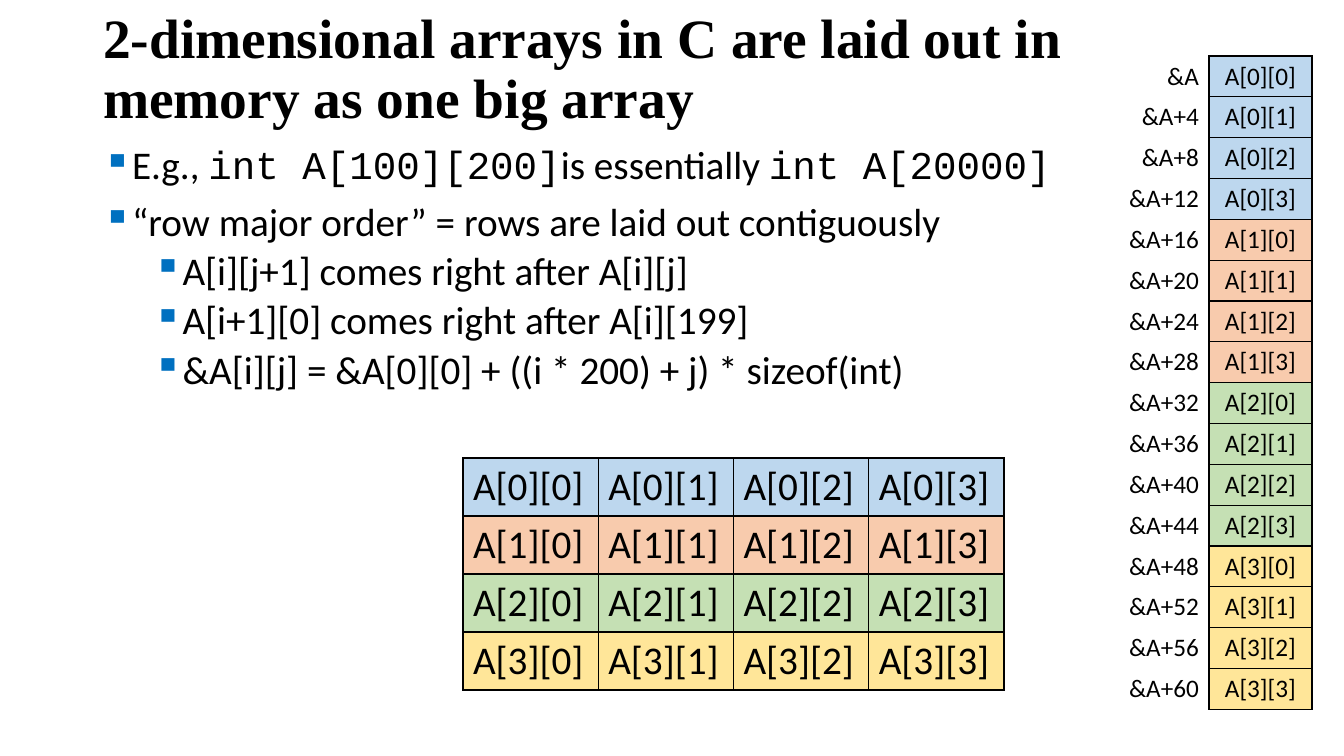
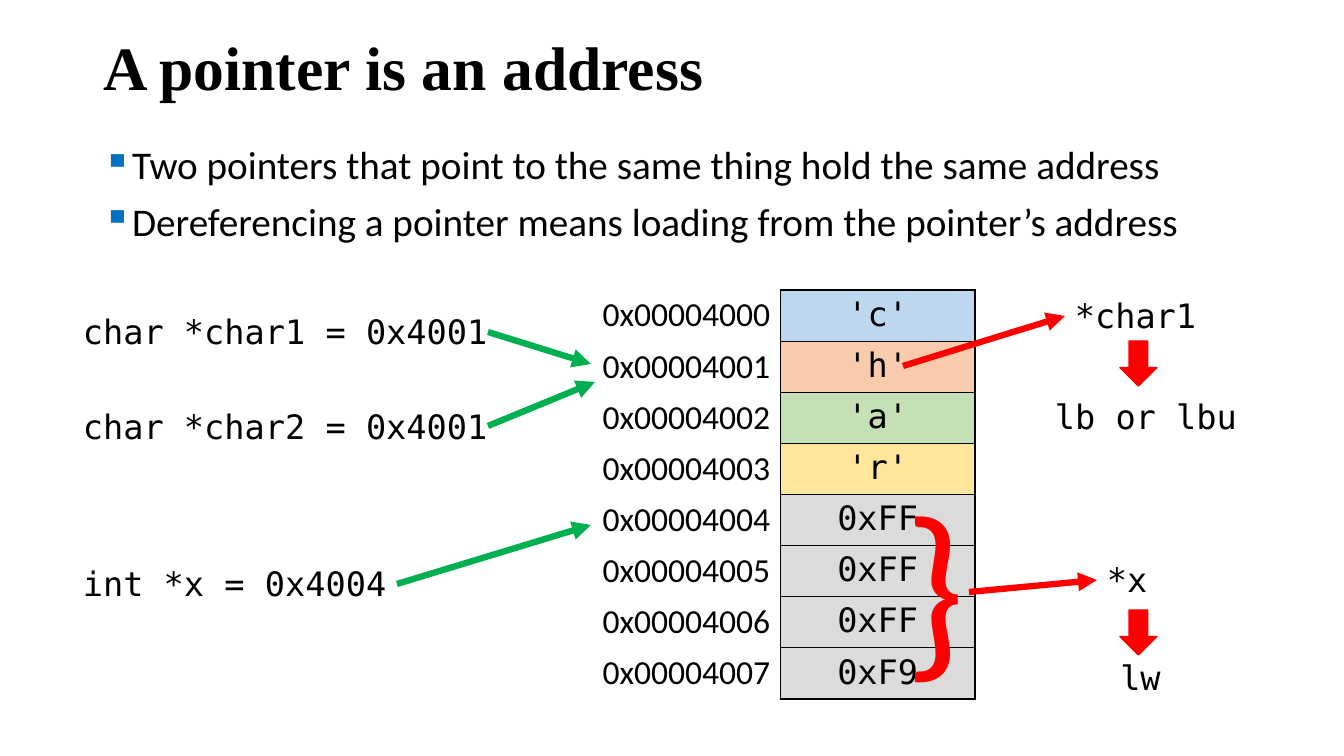
from lxml import etree
from pptx import Presentation
from pptx.dml.color import RGBColor
from pptx.enum.shapes import MSO_CONNECTOR, MSO_SHAPE
from pptx.enum.text import MSO_ANCHOR, MSO_AUTO_SIZE, PP_ALIGN
from pptx.oxml.ns import qn
from pptx.util import Pt

LEFT, CENTER, RIGHT = PP_ALIGN.LEFT, PP_ALIGN.CENTER, PP_ALIGN.RIGHT
TOP, MIDDLE = MSO_ANCHOR.TOP, MSO_ANCHOR.MIDDLE
STRAIGHT, DOWN_ARROW = MSO_CONNECTOR.STRAIGHT, MSO_SHAPE.DOWN_ARROW
NO_AUTOFIT = MSO_AUTO_SIZE.NONE

BLACK = RGBColor(0x00, 0x00, 0x00)
BLUE = RGBColor(0xBD, 0xD7, 0xEE)
ORANGE = RGBColor(0xF8, 0xCB, 0xAD)
LIGHT_GREEN = RGBColor(0xC5, 0xE0, 0xB4)
YELLOW = RGBColor(0xFF, 0xE6, 0x99)
GRAY = RGBColor(0xDB, 0xDB, 0xDB)
BULLET_BLUE = RGBColor(0x00, 0x70, 0xC0)
GREEN = RGBColor(0x00, 0xB0, 0x50)
RED = RGBColor(0xFF, 0x00, 0x00)
BANDS = [BLUE, ORANGE, LIGHT_GREEN, YELLOW]

TITLE_FONT, BODY_FONT = "Times New Roman", "Calibri"
CODE_FONT, MONO_FONT = "Courier New", "DejaVu Sans Mono"
BODY_FORMAT = {"name": BODY_FONT, "size": Pt(28)}
CODE_FORMAT = {"name": CODE_FONT, "size": Pt(28)}
MONO_FORMAT = {"name": MONO_FONT, "size": Pt(24)}
BRACE_FORMAT = {"name": BODY_FONT, "size": Pt(138)}

# Content: bullets are (level, [(text, format), ...])
ARRAY_TITLE = "2-dimensional arrays in C are laid out in memory as one big array"
ARRAY_BULLETS = [
    (0, [("E.g., ", BODY_FORMAT), ("int A[100][200]", CODE_FORMAT),
         ("is essentially ", BODY_FORMAT), ("int A[20000]", CODE_FORMAT)]),
    (0, [("“row major order” = rows are laid out contiguously", BODY_FORMAT)]),
    (1, [("A[i][j+1] comes right after A[i][j]", BODY_FORMAT)]),
    (1, [("A[i+1][0] comes right after A[i][199]", BODY_FORMAT)]),
    (1, [("&A[i][j] = &A[0][0] + ((i * 200) + j) * sizeof(int)", BODY_FORMAT)]),
]
ARRAY_SIDE, INT_BYTES = 4, 4

POINTER_TITLE = "A pointer is an address"
POINTER_BULLETS = [
    (0, [("Two pointers that point to the same thing hold the same address",
          BODY_FORMAT)]),
    (0, [("Dereferencing a pointer means loading from the pointer’s address",
          BODY_FORMAT)]),
]
FIRST_ADDRESS = 0x4000
BYTES = ["'c'", "'h'", "'a'", "'r'", "0xFF", "0xFF", "0xFF", "0xF9"]
# Text, left, top, width, alignment
LABELS = [
    ("char *char1 = 0x4001", 73, 306, 439, LEFT),
    ("char *char2 = 0x4001", 73, 401, 439, LEFT),
    ("int *x = 0x4004", 73, 558, 439, LEFT),
    ("*char1", 1065, 290, 279, LEFT),
    ("lb or lbu", 1045, 391, 279, LEFT),
    ("*x", 1097, 554, 68, LEFT),
    ("lw", 1001, 652, 279, CENTER),
]
# Start x, start y, end x, end y, colour
ARROWS = [
    (488, 332, 591, 364, GREEN),
    (488, 426, 595, 382, GREEN),
    (397, 584, 591, 525, GREEN),
    (903, 366, 1065, 316, RED),
    (969, 592, 1097, 580, RED),
]
DOWN_ARROW_TOPS = [341, 610]

# Layout in pixels
SLIDE_SIZE = (1344, 756)
TITLE_BOX = (93, 20, 1159, 101)
BULLET_BOX = (93, 141, 1159, 595)
GRID_BOX = (463, 458, 541, 232)
ARRAY_MEMORY_BOX = (1106, 56, 206, 654)
BYTE_MEMORY_BOX = (586, 290, 389, 409)
BRACE_BOX = (895, 458, 49, 244)
LABEL_HEIGHT = 50


def px(pixels):
    return round(pixels * 914400 / 100.8)


def set_attributes(target, values):
    for name, value in values.items():
        setattr(target, name, value)


def add_span(para, text, font_format, color=BLACK):
    span = para.add_run()
    span.text = text
    set_attributes(span.font, font_format)
    span.font.color.rgb = color


def add_text(page, text, box, font_format, color=BLACK, align=LEFT):
    frame = page.shapes.add_textbox(*map(px, box)).text_frame
    frame.word_wrap = True
    para = frame.paragraphs[0]
    para.alignment = align
    add_span(para, text, font_format, color)


def add_page(deck, title, title_size, bullets):
    page = deck.slides.add_slide(deck.slide_layouts[5])

    # Title
    holder = page.shapes.title
    sides = zip(("left", "top", "width", "height"), map(px, TITLE_BOX))
    set_attributes(holder, dict(sides))
    frame = holder.text_frame
    set_attributes(frame, {"vertical_anchor": MIDDLE, "word_wrap": True,
                           "auto_size": NO_AUTOFIT})
    para = frame.paragraphs[0]
    set_attributes(para, {"alignment": LEFT, "line_spacing": 0.9})
    add_span(para, title,
             {"name": TITLE_FONT, "size": Pt(title_size), "bold": True})

    # Bullets
    frame = page.shapes.add_textbox(*map(px, BULLET_BOX)).text_frame
    frame.word_wrap = True
    for index, (level, spans) in enumerate(bullets):
        para = frame.add_paragraph() if index else frame.paragraphs[0]
        set_attributes(para, {"level": level, "line_spacing": 0.9,
                              "space_before": Pt(5 if level else 10)})
        for text, font_format in spans:
            add_span(para, text, font_format)
        properties = para._p.get_or_add_pPr()
        properties.set("marL", str(Pt(18 + 36 * level)))
        properties.set("indent", str(-Pt(18)))
        color = etree.SubElement(properties, qn("a:buClr"))
        etree.SubElement(color, qn("a:srgbClr"), val=str(BULLET_BLUE))
        etree.SubElement(properties, qn("a:buChar"), char="▪")
    return page


def set_borders(cell, visible):
    properties = cell._tc.get_or_add_tcPr()
    for index, side in enumerate(("lnL", "lnR", "lnT", "lnB")):
        line = etree.Element(qn("a:" + side), w=str(Pt(1)))
        if side in visible:
            fill = etree.SubElement(line, qn("a:solidFill"))
            etree.SubElement(fill, qn("a:srgbClr"), val=str(BLACK))
        else:
            etree.SubElement(line, qn("a:noFill"))
        properties.insert(index, line)


def add_grid(page, box, rows):
    """Rows hold (text, fill, alignment, font format); no fill means a label."""
    table = page.shapes.add_table(
        len(rows), len(rows[0]), *map(px, box)).table
    set_attributes(table, {"first_row": False, "horz_banding": False})
    for column in table.columns:
        column.width = px(box[2] / len(rows[0]))
    for row_index, row in enumerate(rows):
        table.rows[row_index].height = px(box[3] / len(rows))
        for column_index, (text, fill, align, font_format) in enumerate(row):
            cell = table.cell(row_index, column_index)
            cell.vertical_anchor = TOP
            para = cell.text_frame.paragraphs[0]
            para.alignment = align
            add_span(para, text, font_format)
            if fill is None:
                cell.fill.background()
                set_borders(cell, ("lnR",))
            else:
                cell.fill.solid()
                cell.fill.fore_color.rgb = fill
                set_borders(cell, ("lnL", "lnR", "lnT", "lnB"))


def add_arrow(page, start_x, start_y, end_x, end_y, color):
    arrow = page.shapes.add_connector(
        STRAIGHT, *map(px, (start_x, start_y, end_x, end_y)))
    arrow.line.width = Pt(4.5)
    arrow.line.color.rgb = color
    properties = arrow.element.spPr
    etree.SubElement(properties.find(qn("a:ln")), qn("a:tailEnd"),
                     type="triangle")
    etree.SubElement(properties, qn("a:effectLst"))


deck = Presentation()
deck.slide_width, deck.slide_height = map(px, SLIDE_SIZE)

# Array slide: the same elements as a grid and as consecutive memory
page = add_page(deck, ARRAY_TITLE, 39.6, ARRAY_BULLETS)
elements = [[f"A[{i}][{j}]" for j in range(ARRAY_SIDE)]
            for i in range(ARRAY_SIDE)]
add_grid(page, GRID_BOX, [
    [(name, fill, LEFT, BODY_FORMAT) for name in row]
    for row, fill in zip(elements, BANDS)])

memory_format = {"name": BODY_FONT, "size": Pt(18)}
memory = []
for row, fill in zip(elements, BANDS):
    for name in row:
        offset = len(memory) * INT_BYTES
        address = f"&A+{offset}" if offset else "&A"
        memory.append([(address, None, RIGHT, memory_format),
                       (name, fill, CENTER, memory_format)])
add_grid(page, ARRAY_MEMORY_BOX, memory)

# Pointer slide: bytes in memory with the pointers to them
page = add_page(deck, POINTER_TITLE, 44, POINTER_BULLETS)
address_format = {"name": BODY_FONT, "size": Pt(24)}
fills = BANDS + [GRAY] * (len(BYTES) - len(BANDS))
add_grid(page, BYTE_MEMORY_BOX, [
    [(f"0x{FIRST_ADDRESS + index:08X}", None, RIGHT, address_format),
     (value, fill, CENTER, MONO_FORMAT)]
    for index, (value, fill) in enumerate(zip(BYTES, fills))])

for text, left, top, width, align in LABELS:
    add_text(page, text, (left, top, width, LABEL_HEIGHT), MONO_FORMAT,
             align=align)
add_text(page, "}", BRACE_BOX, BRACE_FORMAT, RED)
for arrow in ARROWS:
    add_arrow(page, *arrow)
for top in DOWN_ARROW_TOPS:
    block = page.shapes.add_shape(DOWN_ARROW, *map(px, (1120, top, 37, 45)))
    block.shadow.inherit = False
    block.fill.solid()
    block.fill.fore_color.rgb = RED
    block.line.color.rgb = RED
    block.line.width = Pt(1)

deck.save("out.pptx")
